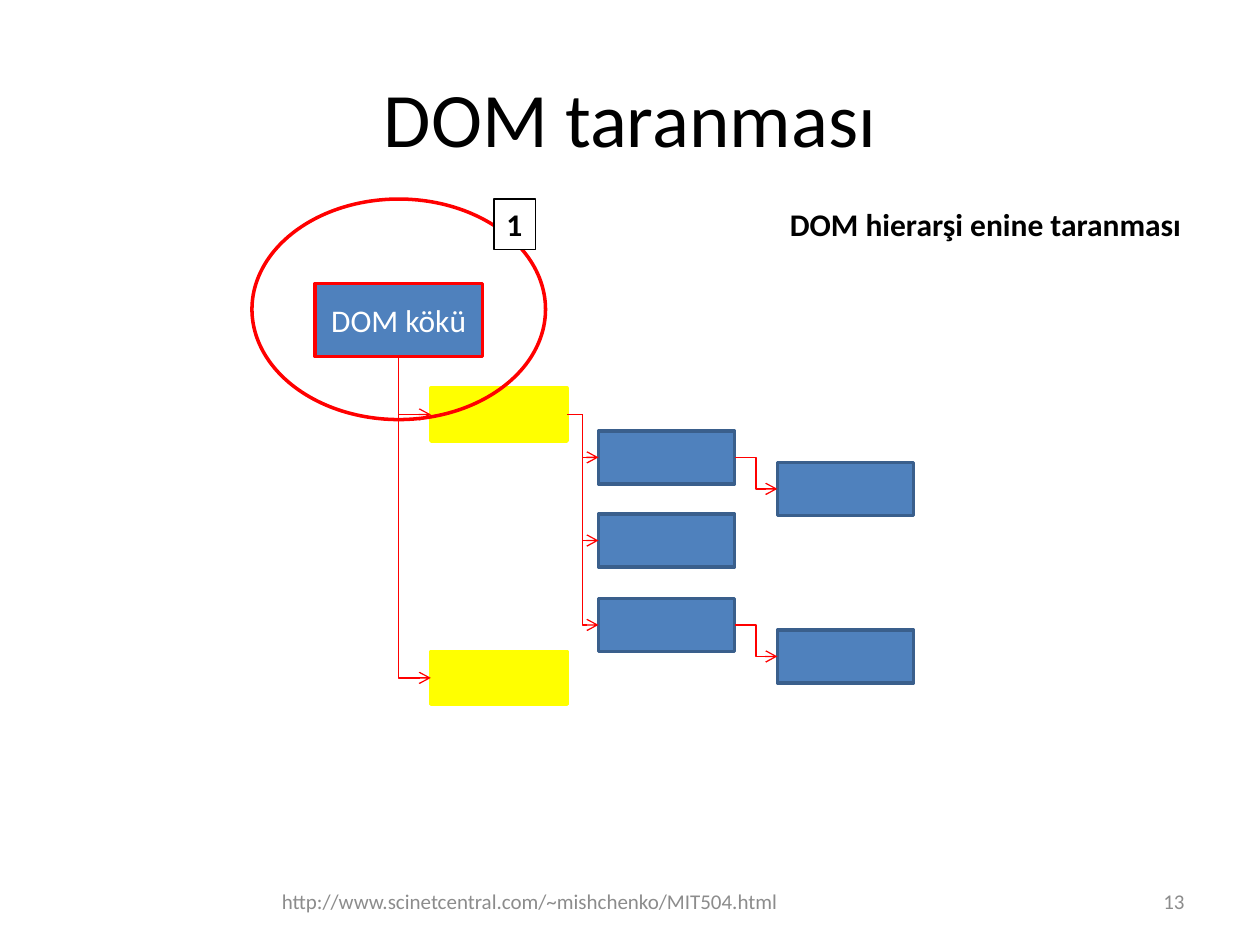
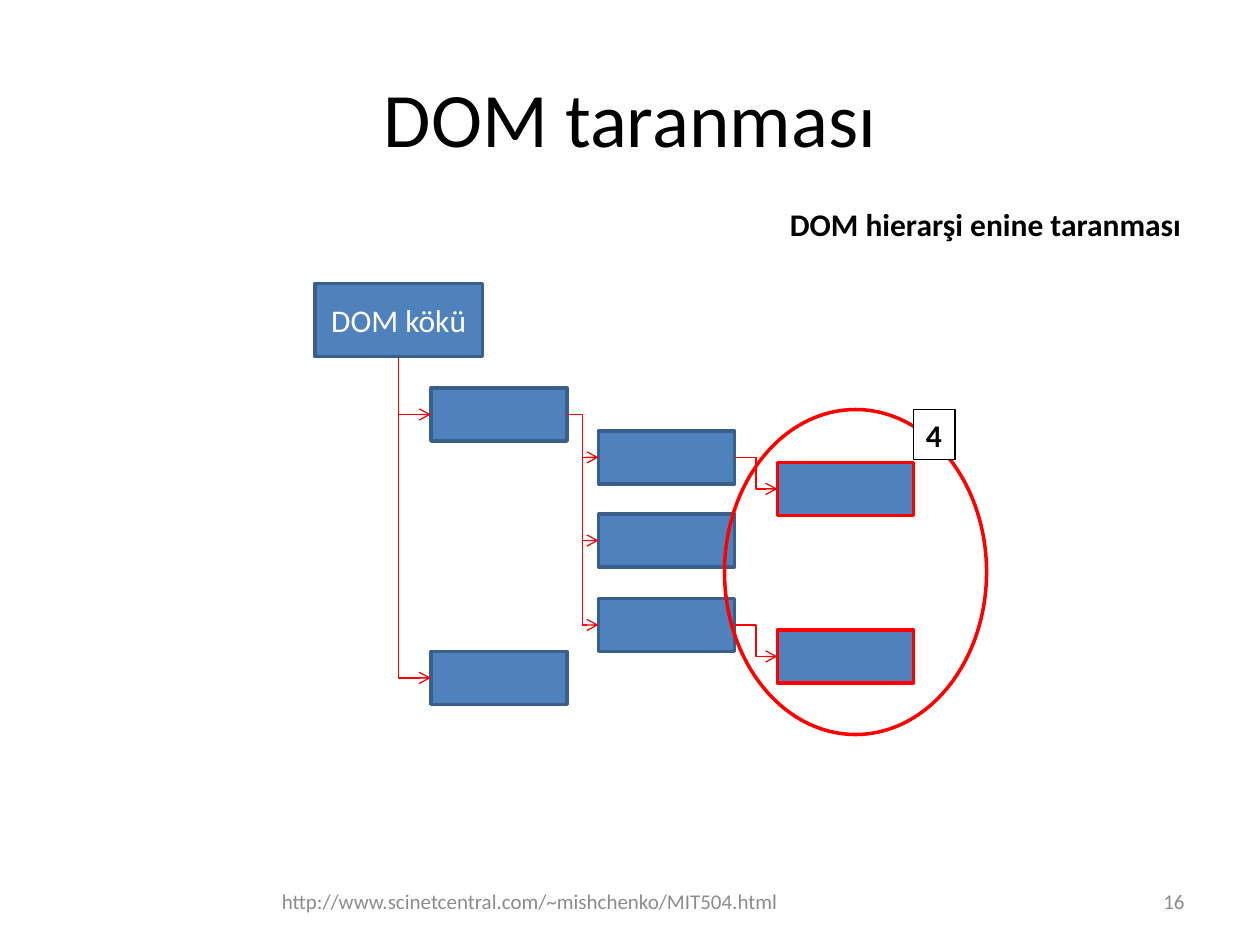
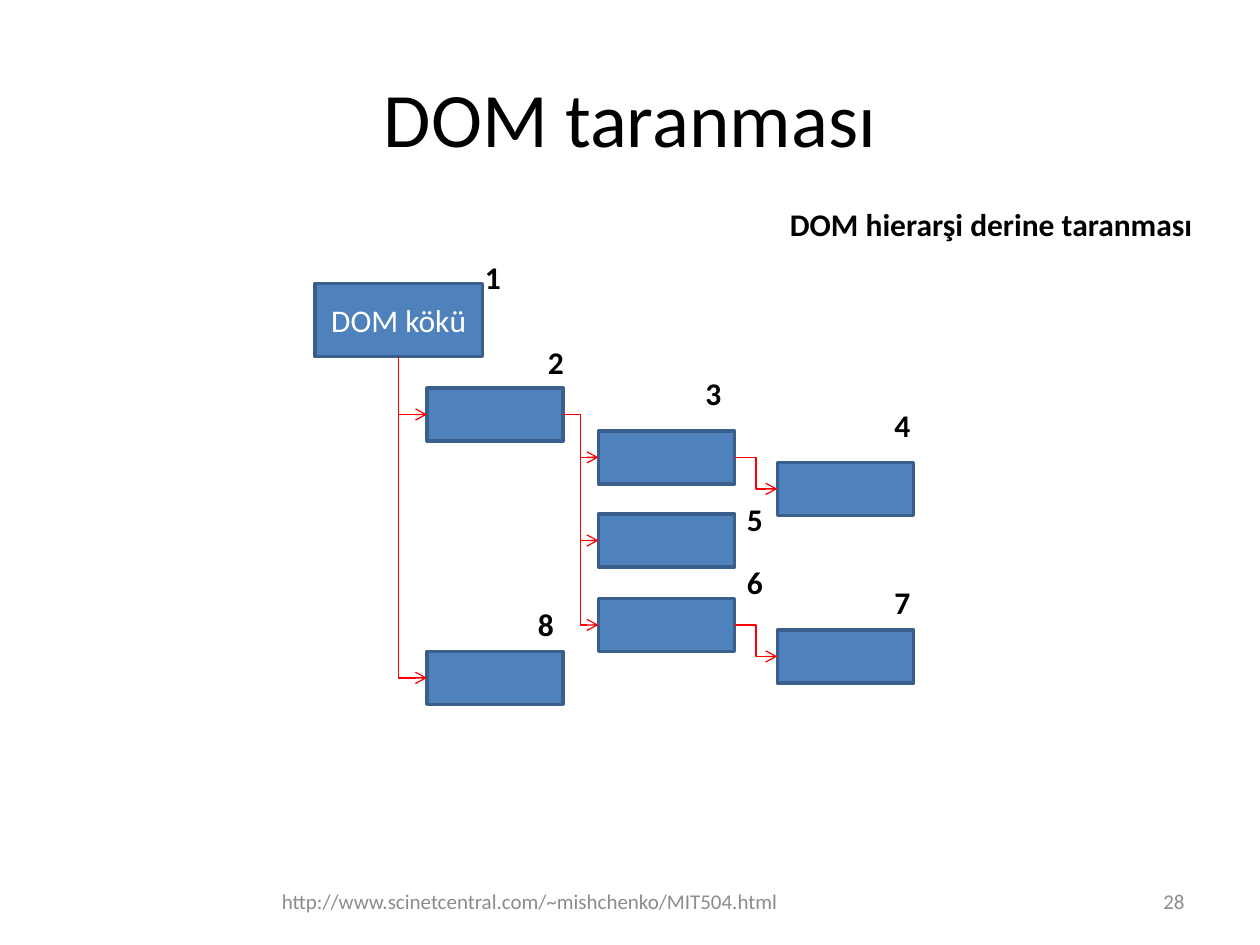
from dataclasses import dataclass

from lxml import etree
from pptx import Presentation
from pptx.dml.color import RGBColor
from pptx.enum.shapes import MSO_CONNECTOR, MSO_SHAPE
from pptx.enum.text import MSO_ANCHOR, MSO_AUTO_SIZE, PP_ALIGN
from pptx.oxml.ns import qn
from pptx.util import Inches, Pt

ELBOW = MSO_CONNECTOR.ELBOW
RECTANGLE, OVAL = MSO_SHAPE.RECTANGLE, MSO_SHAPE.OVAL
TOP, MIDDLE = MSO_ANCHOR.TOP, MSO_ANCHOR.MIDDLE
FIT_SHAPE = MSO_AUTO_SIZE.SHAPE_TO_FIT_TEXT
LEFT, CENTER, RIGHT = PP_ALIGN.LEFT, PP_ALIGN.CENTER, PP_ALIGN.RIGHT
LEFT_SIDE, BOTTOM_SIDE, RIGHT_SIDE = 1, 2, 3


@dataclass(frozen=True)
class Theme:
    font: str = "Calibri"
    black: str = "000000"
    white: str = "FFFFFF"
    gray: str = "8C8C8C"
    blue: str = "4F81BD"
    dark_blue: str = "3A5F8C"
    red: str = "FF0000"
    yellow: str = "FFFF00"
    title_size: int = 44
    body_size: int = 18
    footer_size: int = 12
    thick: float = 2
    thin: float = 0.75


THEME = Theme()
TITLE = "DOM taranması"
FOOTER = "http://www.scinetcentral.com/~mishchenko/MIT504.html"
BREADTH = "DOM hierarşi enine taranması"
DEPTH = "DOM hierarşi derine taranması"

# Tree layout in inches: tops of the nodes at each level
ROOT_BOX = (2.5, 2.25, 1.33, 0.58)
NODE_SIZE = (1.08, 0.42)
CHILD_TOPS = (3.08, 5.17)
GRANDCHILD_LEFT, GRANDCHILD_TOPS = 4.75, (3.42, 4.08, 4.75)
LEAF_LEFT, LEAF_TOPS = 6.17, (3.67, 5)
LABEL_SIZE = (0.33, 0.4)


def inches(box):
    return [Inches(value) for value in box]


def paint(part, fill=None, line=None, width=THEME.thick):
    if fill:
        part.fill.solid()
        part.fill.fore_color.rgb = RGBColor.from_string(fill)
    else:
        part.fill.background()
    if line:
        part.line.color.rgb = RGBColor.from_string(line)
        part.line.width = Pt(width)


def write(part, text, size, color, align=LEFT, anchor=TOP, bold=False):
    frame = part.text_frame
    frame.word_wrap = True
    frame.vertical_anchor = anchor
    para = frame.paragraphs[0]
    para.alignment = align
    span = para.add_run()
    span.text = text
    span.font.name = THEME.font
    span.font.size = Pt(size)
    span.font.bold = bold
    span.font.color.rgb = RGBColor.from_string(color)


def add_text(page, box, text, size, color, align):
    write(page.shapes.add_textbox(*inches(box)), text, size, color, align, MIDDLE)


def add_label(page, box, text):
    """Bold text that keeps to one line."""
    label = page.shapes.add_textbox(*inches(box))
    write(label, text, THEME.body_size, THEME.black, bold=True)
    label.text_frame.word_wrap = False
    label.text_frame.auto_size = FIT_SHAPE
    return label


def add_outline(page, kind, box, fill, line):
    shape = page.shapes.add_shape(kind, *inches(box))
    shape.shadow.inherit = False
    paint(shape, fill, line)
    return shape


def add_arrow(page, parent, child, parent_side):
    """Elbow arrow from a parent's bottom or right side to a child's left side."""
    arrow = page.shapes.add_connector(ELBOW, 0, 0, 0, 0)
    arrow.begin_connect(parent, parent_side)
    arrow.end_connect(child, LEFT_SIDE)
    arrow.line.color.rgb = RGBColor.from_string(THEME.red)
    arrow.line.width = Pt(THEME.thin)
    properties = arrow._element.spPr
    etree.SubElement(arrow.line._get_or_add_ln(), qn("a:tailEnd"), type="arrow")
    etree.SubElement(properties, qn("a:effectLst"))
    if parent_side == BOTTOM_SIDE:
        # A single bend that goes down first is a turned, mirrored elbow
        across, down = arrow.width, arrow.height
        shift = (across - down) // 2
        arrow.left, arrow.top = arrow.left + shift, arrow.top - shift
        arrow.width, arrow.height = down, across
        properties.find(qn("a:prstGeom")).set("prst", "bentConnector2")
        properties.xfrm.set("rot", str(270 * 60000))
        properties.xfrm.set("flipH", "1")


def add_level(page, left, tops, fill=THEME.blue, line=THEME.dark_blue):
    return [add_outline(page, RECTANGLE, (left, top, *NODE_SIZE), fill, line)
            for top in tops]


def add_tree(page, root_line=THEME.dark_blue, child_left=3.42, child_fill=THEME.blue,
             child_line=THEME.dark_blue, leaf_line=THEME.dark_blue):
    root = add_outline(page, RECTANGLE, ROOT_BOX, THEME.blue, root_line)
    write(root, "DOM kökü", THEME.body_size, THEME.white, CENTER, MIDDLE)
    children = add_level(page, child_left, CHILD_TOPS, child_fill, child_line)
    grandchildren = add_level(page, GRANDCHILD_LEFT, GRANDCHILD_TOPS)
    leaves = add_level(page, LEAF_LEFT, LEAF_TOPS, line=leaf_line)

    for child in children:
        add_arrow(page, root, child, BOTTOM_SIDE)
    for grandchild in grandchildren:
        add_arrow(page, children[0], grandchild, RIGHT_SIDE)
    for parent, leaf in zip(grandchildren[::2], leaves):
        add_arrow(page, parent, leaf, RIGHT_SIDE)


def add_step(page, ring_box, badge_left, number):
    """Ring around the visited level, with a numbered badge at its top."""
    add_outline(page, OVAL, ring_box, None, THEME.red)
    badge = add_label(page, (badge_left, ring_box[1], *LABEL_SIZE), number)
    paint(badge, THEME.white, THEME.black, THEME.thin)


def add_page(deck, number, heading, heading_width=3.33):
    page = deck.slides.add_slide(deck.slide_layouts[6])
    add_text(page, (0.5, 0.3, 9, 1.25), TITLE, THEME.title_size, THEME.black, CENTER)
    add_text(page, (1.83, 6.95, 4.75, 0.4), FOOTER, THEME.footer_size, THEME.gray, CENTER)
    add_text(page, (7.17, 6.95, 2.33, 0.4), number, THEME.footer_size, THEME.gray, RIGHT)
    add_label(page, (6.17, 1.58, heading_width, 0.4), heading)
    return page


def main():
    deck = Presentation()
    deck.slide_width, deck.slide_height = Inches(10), Inches(7.5)

    # Breadth first: the root is visited, its children are next
    page = add_page(deck, "13", BREADTH)
    add_tree(page, root_line=THEME.red, child_fill=THEME.yellow, child_line=THEME.yellow)
    add_step(page, (2, 1.58, 2.33, 1.75), 3.92, "1")

    # Breadth first: the leaves are visited
    page = add_page(deck, "16", BREADTH)
    add_tree(page, leaf_line=THEME.red)
    add_step(page, (5.75, 3.25, 2.08, 2.58), 7.25, "4")

    # Depth first: nodes numbered in order of visit
    page = add_page(deck, "28", DEPTH, 3.42)
    add_tree(page, child_left=3.39)
    visits = [(3.75, 2), (4.25, 2.67), (5.5, 2.92), (7, 3.17),
              (5.83, 3.92), (5.83, 4.42), (7, 4.58), (4.17, 4.75)]
    for number, corner in enumerate(visits, 1):
        add_label(page, (*corner, *LABEL_SIZE), str(number))

    deck.save("out.pptx")


if __name__ == "__main__":
    main()
